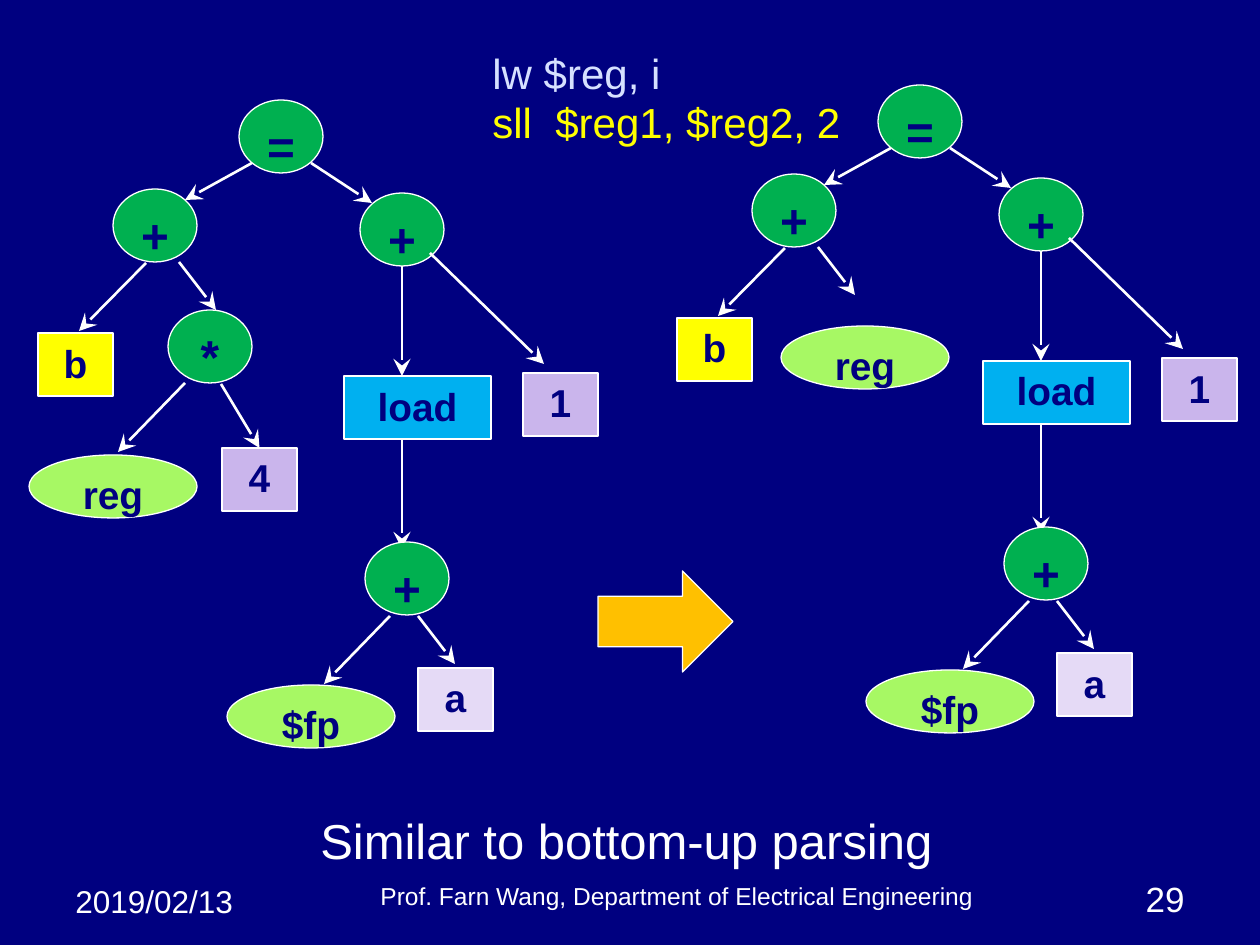
from pptx import Presentation
from pptx.dml.color import RGBColor
from pptx.enum.shapes import MSO_CONNECTOR, MSO_SHAPE
from pptx.enum.text import MSO_ANCHOR, PP_ALIGN
from pptx.oxml.ns import qn
from pptx.util import Emu, Pt
from lxml import etree

OVAL, RECT, ARROW = MSO_SHAPE.OVAL, MSO_SHAPE.RECTANGLE, MSO_SHAPE.RIGHT_ARROW
LINE = MSO_CONNECTOR.STRAIGHT
TOP, BASE = MSO_ANCHOR.TOP, MSO_ANCHOR.BOTTOM
LEFT, MID, RIGHT = PP_ALIGN.LEFT, PP_ALIGN.CENTER, PP_ALIGN.RIGHT
SCALE = 914400 / 126
HUES = {
    "navy": "000080", "white": "FFFFFF", "green": "00B050", "lime": "A7F864",
    "yellow": "FFFF00", "lilac": "CAB5EC", "pale": "E5DAF6", "blue": "00B0F0",
    "gold": "FFC000", "ice": "D6E0FF",
}
KINDS = {
    "op": (OVAL, 84, 73, "green", 27.2),
    "reg": (OVAL, 168, 63, "lime", 22.2),
    "var": (RECT, 75, 63, "yellow", 22.2),
    "num": (RECT, 75, 63, "lilac", 22.2),
    "off": (RECT, 75, 63, "pale", 22.2),
    "load": (RECT, 147, 63, "blue", 22.2),
}
NODES = [
    ("op", "=", 239, 100), ("op", "+", 113, 189), ("op", "+", 360, 193),
    ("var", "b", 38, 333), ("load", "load", 344, 376), ("num", "1", 523, 373),
    ("off", "a", 418, 668), ("reg", "$fp", 227, 685),
]
EDGES = [
    (252, 163, 185, 200), (311, 163, 372, 203), (146, 263, 79, 331),
    (179, 262, 216, 310), (402, 266, 402, 376), (402, 439, 402, 549),
    (390, 616, 324, 684), (418, 616, 455, 664), (430, 253, 544, 364),
]
NOTES = [
    ("lw $reg, i", (480, 41, 220, 63), 24, "ice", LEFT, TOP),
    ("sll  $reg1, $reg2, 2", (480, 90, 395, 63), 24, "yellow", LEFT, TOP),
    ("Similar to bottom-up parsing", (308, 804, 670, 72), 28, "white", LEFT, TOP),
    ("2019/02/13", (63, 876, 199, 50), 18, "white", LEFT, TOP),
    ("Prof. Farn Wang, Department of Electrical Engineering",
     (252, 876, 850, 41), 14, "white", MID, BASE),
    ("29", (903, 861, 294, 65), 20, "white", RIGHT, BASE),
]


def px(*nums):
    return [Emu(round(n * SCALE)) for n in nums]


def hue(name):
    return RGBColor.from_string(HUES[name])


def put(item, vals):
    for key, val in vals.items():
        setattr(item, key, val)


def write(shape, text, size, tint, align, anchor=TOP, bold=False):
    frame = shape.text_frame
    put(frame, {"word_wrap": True, "vertical_anchor": anchor})
    para = frame.paragraphs[0]
    para.alignment = align
    run = para.add_run()
    run.text = text
    put(run.font, {"name": "Arial", "size": Pt(size), "bold": bold})
    run.font.color.rgb = hue(tint)


def block(slide, form, box, tint):
    shape = slide.shapes.add_shape(form, *px(*box))
    shape.shadow.inherit = False
    shape.fill.solid()
    shape.fill.fore_color.rgb = hue(tint)
    shape.line.color.rgb = hue("white")
    shape.line.width = Pt(0.75)
    return shape


def node(slide, kind, text, x, y):
    form, wide, high, tint, size = KINDS[kind]
    shape = block(slide, form, (x, y, wide, high), tint)
    write(shape, text, size, "navy", MID, bold=True)
    return shape


def edge(slide, *ends):
    line = slide.shapes.add_connector(LINE, *px(*ends))
    line.line.color.rgb = hue("white")
    line.line.width = Pt(1.5)
    tail = etree.SubElement(line.line._get_or_add_ln(), qn("a:tailEnd"))
    for key, val in {"type": "stealth", "w": "lg", "len": "lg"}.items():
        tail.set(key, val)
    etree.SubElement(line._element.spPr, qn("a:effectLst"))
    return line


def tree(slide, dx, dy):
    for kind, text, x, y in NODES:
        node(slide, kind, text, x + dx, y + dy)
    for x1, y1, x2, y2 in EDGES:
        edge(slide, x1 + dx, y1 + dy, x2 + dx, y2 + dy)
    node(slide, "op", "+", 365 + dx, 542 + dy)


def shift(slide):
    node(slide, "op", "*", 168, 310)
    node(slide, "reg", "reg", 29, 455)
    four = node(slide, "num", "4", 222, 448)
    edge(slide, 185, 383, 118, 452)
    edge(slide, 221, 384, 259, 448).end_connect(four, 0)


def note(slide, text, box, *look):
    write(slide.shapes.add_textbox(*px(*box)), text, *look)


def main():
    deck = Presentation()
    deck.slide_width, deck.slide_height = px(1260, 945)
    slide = deck.slides.add_slide(deck.slide_layouts[6])
    slide.background.fill.solid()
    slide.background.fill.fore_color.rgb = hue("navy")
    tree(slide, 0, 0)
    shift(slide)
    block(slide, ARROW, (598, 571, 135, 101), "gold")
    tree(slide, 639, -15)
    node(slide, "reg", "reg", 781, 326)
    for item in NOTES:
        note(slide, *item)
    deck.save("out.pptx")


if __name__ == "__main__":
    main()
